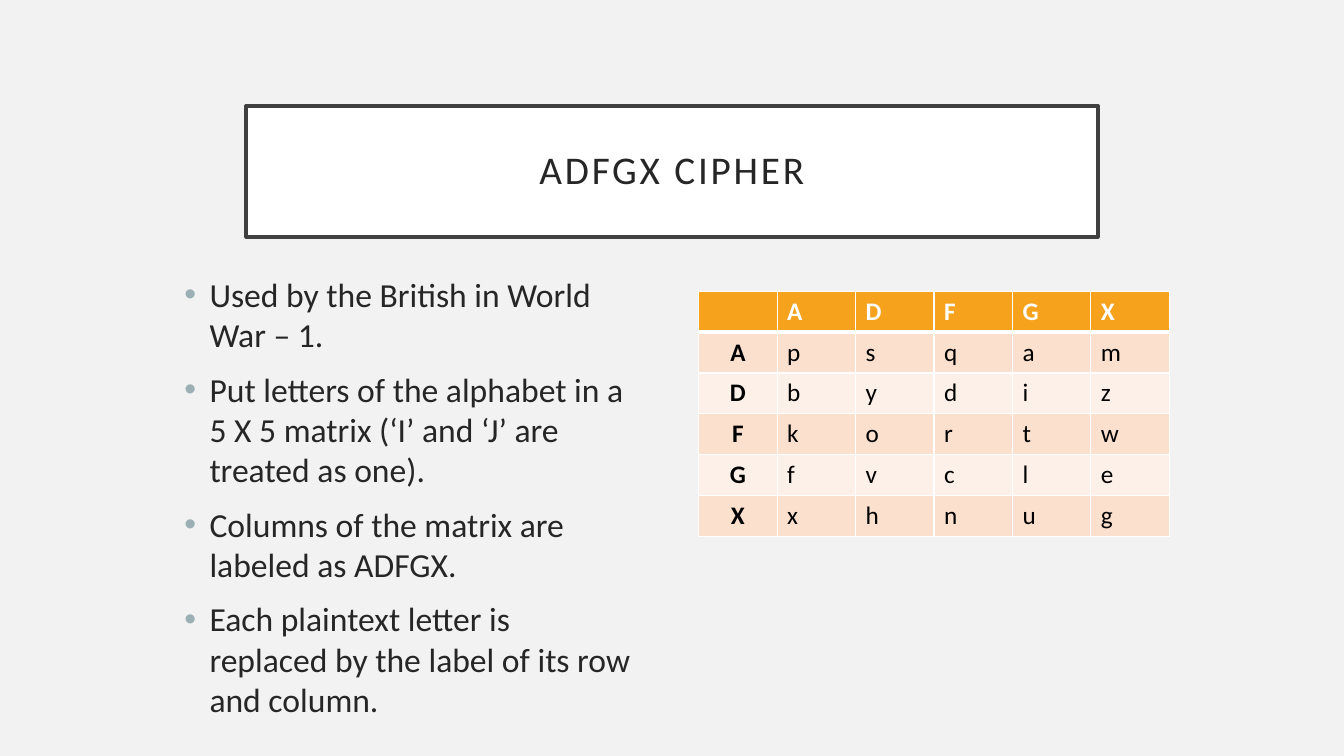
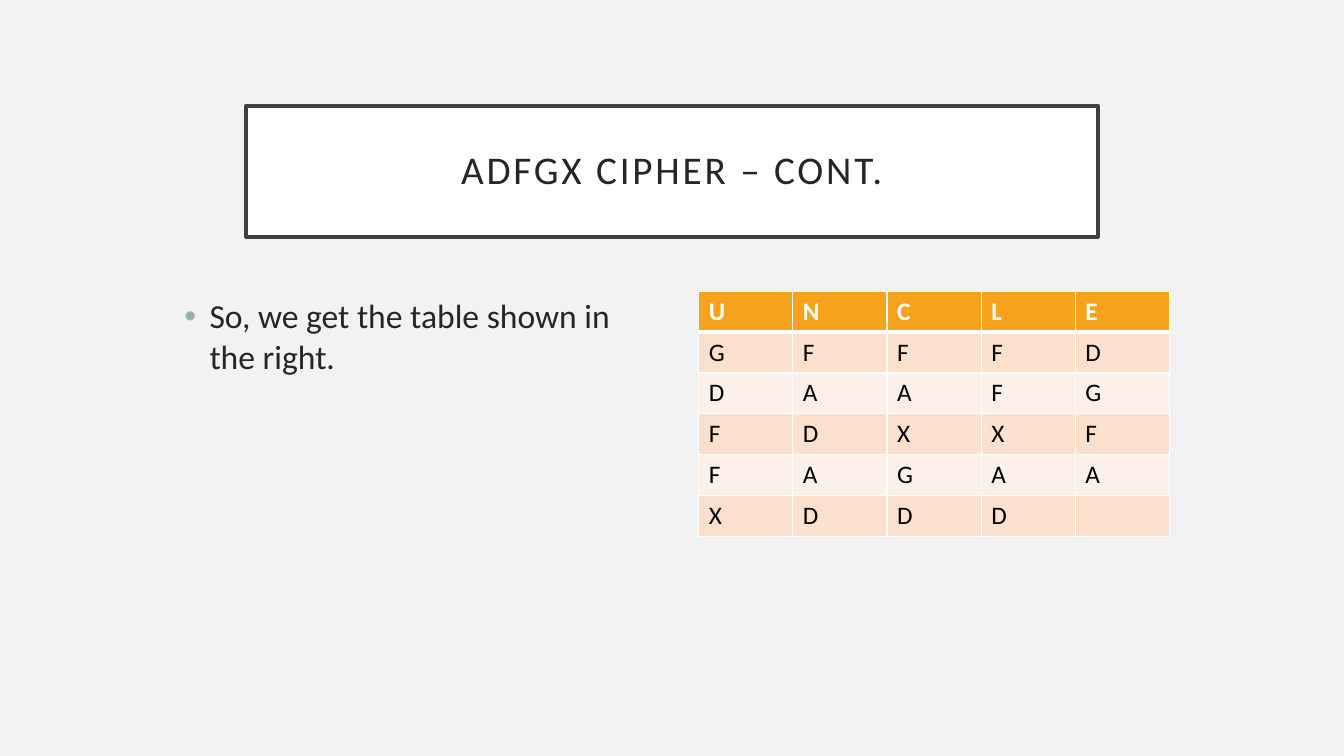
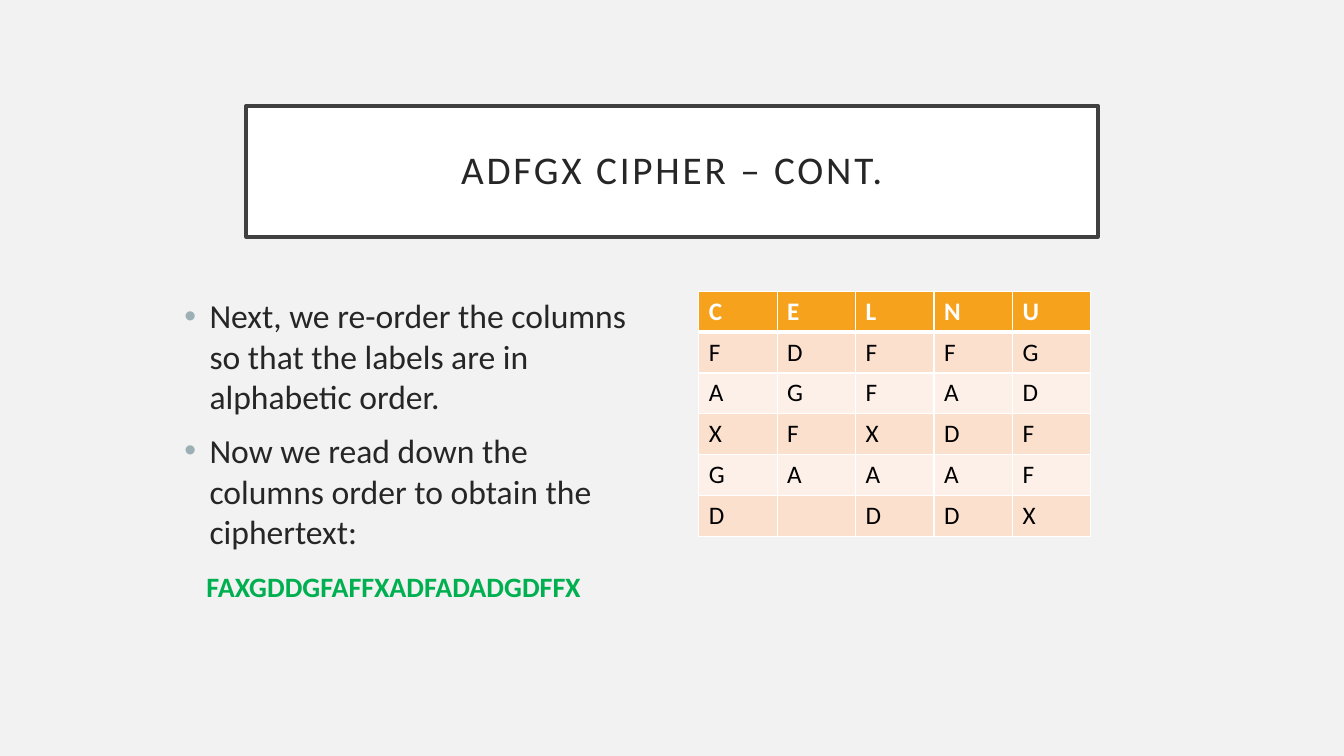
import pptx
import pptx.dml.color
import pptx.enum.shapes
import pptx.enum.text
import pptx.oxml
import pptx.oxml.ns
import pptx.util
from pptx.util import Inches

FONT = "Calibri"
PAPER, WHITE, BLACK = "F2F2F2", "FFFFFF", "000000"
INK, FRAME, BULLET, GREEN = "262626", "404040", "9BAFB5", "00B050"
HEADER, BANDS = "F6A21D", ("FBE0CD", "FDF0E8")
TITLE_BOX = (2.44, 1.05, 8.45, 1.3)
TABLE_LEFT, TABLE_TOP, TABLE_HEIGHT = 6.93, 2.89, 2.43

SLIDES = [
    {
        "title": "ADFGX CIPHER",
        "bullets": [
            "Used by the British in World War – 1.",
            "Put letters of the alphabet in a 5 X 5 matrix (‘I’ and ‘J’ are treated as one).",
            "Columns of the matrix are labeled as ADFGX.",
            "Each plaintext letter is replaced by the label of its row and column.",
        ],
        "text_box": (1.73, 2.67, 4.67, 4.5),
        "rows": [" ADFGX", "Apsqam", "Dbydiz", "Fkortw", "Gfvcle", "Xxhnug"],
        "table_width": 4.67,
        "row_labels": True,
    },
    {
        "title": "ADFGX CIPHER – CONT.",
        "bullets": ["So, we get the table shown in the right."],
        "text_box": (1.73, 2.88, 4.67, 3.39),
        "rows": ["UNCLE", "GFFFD", "DAAFG", "FDXXF", "FAGAA", "XDDD "],
        "table_width": 4.67,
    },
    {
        "title": "ADFGX CIPHER – CONT.",
        "bullets": [
            "Next, we re-order the columns so that the labels are in alphabetic order.",
            "Now we read down the columns order to obtain the ciphertext:",
        ],
        "ciphertext": "FAXGDDGFAFFXADFADADGDFFX",
        "text_box": (1.73, 2.88, 4.77, 3.39),
        "rows": ["CELNU", "FDFFG", "AGFAD", "XFXDF", "GAAAF", "D DDX"],
        "table_width": 3.89,
    },
]


def color(value):
    """Turn a hex string into a colour."""
    return pptx.dml.color.RGBColor.from_string(value)


def format_runs(para, size, ink, bold=False):
    """Format every run of a paragraph."""
    for span in para.runs:
        span.font.name = FONT
        span.font.size = pptx.util.Pt(size)
        span.font.bold = bold
        span.font.color.rgb = color(ink)


def add_title(page, text, box):
    """Place the framed title in its box."""
    title = page.shapes.title
    title.left, title.top, title.width, title.height = map(Inches, box)
    title.fill.solid()
    title.fill.fore_color.rgb = color(WHITE)
    title.line.color.rgb = color(FRAME)
    title.line.width = pptx.util.Pt(2.5)
    frame = title.text_frame
    frame.text = text
    frame.word_wrap = True
    frame.auto_size = pptx.enum.text.MSO_AUTO_SIZE.NONE
    frame.vertical_anchor = pptx.enum.text.MSO_ANCHOR.MIDDLE
    frame.margin_left = frame.margin_right = Inches(0.2)
    frame.margin_top = frame.margin_bottom = Inches(0.2)
    para = frame.paragraphs[0]
    para.alignment = pptx.enum.text.PP_ALIGN.CENTER
    para.line_spacing = 0.9
    format_runs(para, 28, INK)
    for span in para.runs:
        span.font._element.set("spc", "200")


def set_bullet(para):
    """Give a paragraph a hanging coloured bullet."""
    properties = para._p.get_or_add_pPr()
    properties.set("marL", str(Inches(0.25)))
    properties.set("indent", str(-Inches(0.25)))
    namespace = pptx.oxml.ns.nsdecls("a")
    for xml in (
        f'<a:buClr {namespace}><a:srgbClr val="{BULLET}"/></a:buClr>',
        f'<a:buFont {namespace} typeface="Arial"/>',
        f'<a:buChar {namespace} char="•"/>',
    ):
        properties.append(pptx.oxml.parse_xml(xml))


def add_bullets(page, bullets, box, ciphertext=None):
    """Write the bullets, then the ciphertext if there is one."""
    frame = page.shapes.add_textbox(*map(Inches, box)).text_frame
    frame.word_wrap = True
    for index, text in enumerate(bullets):
        para = frame.add_paragraph() if index else frame.paragraphs[0]
        para.text = text
        para.space_before = pptx.util.Pt(10 if index else 0)
        set_bullet(para)
        format_runs(para, 24, INK)
    if ciphertext:
        para = frame.add_paragraph()
        para.text = ciphertext
        para.space_before = pptx.util.Pt(13)
        para._p.get_or_add_pPr().set("marL", str(Inches(0.22)))
        format_runs(para, 20, GREEN, True)


def set_borders(cell, top, bottom):
    """Draw white cell borders with the given top and bottom widths."""
    properties = cell._tc.get_or_add_tcPr()
    for side, points in (("L", 1), ("R", 1), ("T", top), ("B", bottom)):
        properties.append(pptx.oxml.parse_xml(
            f'<a:ln{side} {pptx.oxml.ns.nsdecls("a")} w="{pptx.util.Pt(points)}">'
            f'<a:solidFill><a:srgbClr val="{WHITE}"/></a:solidFill></a:ln{side}>'
        ))


def add_letter_table(page, rows, box, row_labels=False):
    """Fill a banded table with one letter in each cell."""
    table = page.shapes.add_table(len(rows), len(rows[0]), *map(Inches, box)).table
    for row, letters in enumerate(rows):
        for column, letter in enumerate(letters):
            cell = table.cell(row, column)
            is_label = row_labels and column == 0 and row > 0
            set_borders(cell, 3 if row == 1 else 1, 3 if row == 0 else 1)
            cell.fill.solid()
            cell.fill.fore_color.rgb = color(BANDS[(row - 1) % 2] if row else HEADER)
            cell.text_frame.text = letter.strip()
            para = cell.text_frame.paragraphs[0]
            if is_label:
                para.alignment = pptx.enum.text.PP_ALIGN.CENTER
            format_runs(para, 18, BLACK if row else WHITE, row == 0 or is_label)


def add_cipher_slide(deck, content):
    """Build a slide with a title, bullets and a letter table."""
    page = deck.slides.add_slide(deck.slide_layouts.get_by_name("Title Only"))
    add_title(page, content["title"], TITLE_BOX)
    add_bullets(page, content["bullets"], content["text_box"], content.get("ciphertext"))
    table_box = (TABLE_LEFT, TABLE_TOP, content["table_width"], TABLE_HEIGHT)
    add_letter_table(page, content["rows"], table_box, content.get("row_labels", False))


def main():
    """Build and save the deck."""
    deck = pptx.Presentation()
    deck.slide_width, deck.slide_height = Inches(13.33), Inches(7.5)
    background = deck.slide_master.background.fill
    background.solid()
    background.fore_color.rgb = color(PAPER)
    for content in SLIDES:
        add_cipher_slide(deck, content)
    deck.save("out.pptx")


if __name__ == "__main__":
    main()
